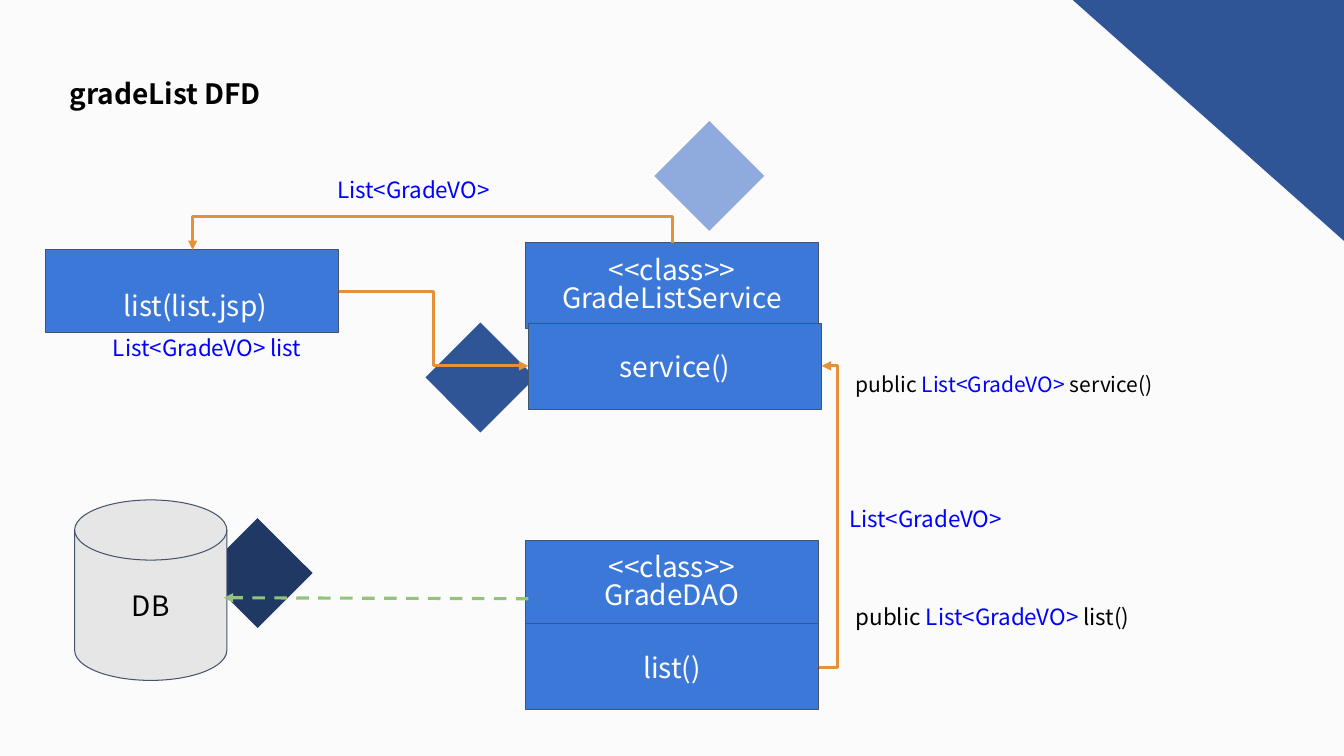
from lxml.etree import SubElement
from pptx import Presentation
from pptx.dml.color import RGBColor
from pptx.enum.dml import MSO_LINE
from pptx.enum.shapes import MSO_CONNECTOR, MSO_SHAPE
from pptx.enum.text import MSO_ANCHOR, PP_ALIGN
from pptx.oxml.ns import qn
from pptx.util import Inches, Pt

RECT, DIAMOND = MSO_SHAPE.RECTANGLE, MSO_SHAPE.DIAMOND
TRIANGLE, DISK = MSO_SHAPE.RIGHT_TRIANGLE, MSO_SHAPE.FLOWCHART_MAGNETIC_DISK
STRAIGHT, ELBOW = MSO_CONNECTOR.STRAIGHT, MSO_CONNECTOR.ELBOW
TOP, MIDDLE, BOTTOM = MSO_ANCHOR.TOP, MSO_ANCHOR.MIDDLE, MSO_ANCHOR.BOTTOM
LEFT, CENTER = PP_ALIGN.LEFT, PP_ALIGN.CENTER
DASH = MSO_LINE.DASH

COLORS = {
    "page": "FBFBFB", "navy": "203864", "blue": "2F5597", "pale": "8FAADC",
    "box": "3C78D8", "edge": "44546A", "disk": "E7E6E6", "flow": "E69138",
    "query": "93C47D", "type": "0000FF", "black": "000000", "white": "FFFFFF",
}
BOX_W, BOX_H = 2.91, 0.85
CLASS_X = 5.21
TYPE = "List<GradeVO>"


def rgb(name):
    """Return the named palette colour."""
    return RGBColor.from_string(COLORS[name])


class Deck:
    """Holds the style and the current slide."""

    font = "Noto Sans CJK KR"
    spacing = 0.83

    def __init__(self, prs):
        """Add a blank slide with the page colour."""
        self.s = prs.slides.add_slide(prs.slide_layouts[6])
        fill = self.s.background.fill
        fill.solid()
        fill.fore_color.rgb = rgb("page")

    def put_text(self, sp, lines, size, anchor=MIDDLE, align=CENTER, bold=False):
        """Fill a shape with lines, each a list of (text, colour) runs."""
        tf = sp.text_frame
        frame = {"word_wrap": True, "vertical_anchor": anchor}
        frame.update({f"margin_{side}": Inches(0.1)
                      for side in ("left", "right", "top", "bottom")})
        for name, value in frame.items():
            setattr(tf, name, value)
        for i, runs in enumerate(lines):
            p = tf.paragraphs[0] if i == 0 else tf.add_paragraph()
            p.alignment = align
            p.line_spacing = self.spacing if anchor == TOP or len(lines) > 1 else 1.0
            for text, color in runs:
                r = p.add_run()
                r.text = text
                for name, value in {"name": self.font, "size": Pt(size), "bold": bold}.items():
                    setattr(r.font, name, value)
                r.font.color.rgb = rgb(color)

    def shape(self, kind, at, fill, edge=None, rotation=0):
        """Draw a filled preset shape."""
        sp = self.s.shapes.add_shape(kind, *map(Inches, at))
        sp.shadow.inherit = False
        sp.rotation = rotation
        sp.fill.solid()
        sp.fill.fore_color.rgb = rgb(fill)
        if edge:
            sp.line.color.rgb = rgb(edge)
            sp.line.width = Pt(0.75)
        else:
            sp.line.fill.background()
        return sp

    def box(self, x, y, *lines, h=BOX_H, anchor=MIDDLE):
        """Draw a blue box with white lines of text."""
        sp = self.shape(RECT, (x, y, BOX_W, h), "box", "edge")
        self.put_text(sp, [[(line, "white")] for line in lines], 20, anchor)

    def label(self, at, runs, size=16, **style):
        """Place one line of free text."""
        sp = self.s.shapes.add_textbox(*map(Inches, at))
        self.put_text(sp, [runs], size, **{"anchor": TOP, **style})

    def arrow(self, kind, start, end, color, dash=None):
        """Draw a connector with an arrowhead at its end."""
        c = self.s.shapes.add_connector(kind, *map(Inches, (*start, *end)))
        c.line.color.rgb = rgb(color)
        c.line.width = Pt(2.25)
        if dash:
            c.line.dash_style = dash
        SubElement(c.get_or_add_ln(), qn("a:tailEnd"), type="triangle")
        SubElement(c._element.spPr, qn("a:effectLst"))
        return c

    def elbow(self, start, end, bend, upright=False):
        """Draw a bent arrow that turns at x = bend, or at y = bend if upright."""
        (x1, y1), (x2, y2) = start, end
        ratio = (bend - y1) / (y2 - y1) if upright else (bend - x1) / (x2 - x1)
        if upright:
            cx, cy = (x1 + x2) / 2, (y1 + y2) / 2
            dx, dy = (y2 - y1) / 2, (x1 - x2) / 2
            start, end = (cx - dx, cy - dy), (cx + dx, cy + dy)
        spPr = self.arrow(ELBOW, start, end, "flow")._element.spPr
        if upright:
            spPr.find(qn("a:xfrm")).set("rot", str(90 * 60000))
        guides = spPr.find(qn("a:prstGeom")).find(qn("a:avLst"))
        SubElement(guides, qn("a:gd"), name="adj1", fmla=f"val {round(ratio * 100000)}")


def signature(method):
    """Return the runs of a public method that gives back the list."""
    return [("public ", "black"), (TYPE, "type"), (f" {method}", "black")]


prs = Presentation()
prs.slide_width, prs.slide_height = Inches(13.33), Inches(7.5)
deck = Deck(prs)

for x, y, color in ((4.22, 3.2, "blue"), (2.01, 5.14, "navy"), (6.49, 1.2, "pale")):
    deck.shape(DIAMOND, (x, y, 1.09, 1.09), color)
deck.shape(TRIANGLE, (10.64, 0, 2.69, 2.39), "blue", rotation=180)

deck.box(0.45, 2.48, " list(list.jsp)", h=0.82, anchor=BOTTOM)
deck.box(CLASS_X, 2.41, "<<class>>", "GradeListService")
deck.box(5.24, 3.21, "service()")
deck.box(CLASS_X, 5.36, "<<class>>", "GradeDAO")
deck.box(CLASS_X, 6.19, "list()")

deck.elbow((6.67, 2.41), (1.91, 2.48), 2.15, upright=True)
deck.elbow((3.36, 2.89), (5.24, 3.63), 4.3)
deck.elbow((8.12, 6.62), (8.15, 3.63), 8.31)

deck.label((0.96, 3.26, 2.19, 0.46), [(f"{TYPE} list", "type")])
for x, y in ((3.15, 1.69), (8.23, 4.96)):
    deck.label((x, y, 1.9, 0.46), [(TYPE, "type")])
deck.label((8.39, 5.93, 4.8, 0.47), signature("list()"), align=LEFT)
deck.label((8.39, 3.63, 4.8, 0.45), signature("service()"), 15, align=LEFT)

db = deck.shape(DISK, (0.74, 4.96, 1.51, 1.79), "disk", "edge")
deck.put_text(db, [[("DB", "black")]], 20)
deck.arrow(STRAIGHT, (5.24, 5.94), (2.22, 5.93), "query", DASH)
deck.label((0.59, 0.71, 3.69, 0.43), [("gradeList DFD", "black")], 20,
           anchor=MIDDLE, align=LEFT, bold=True)

prs.save("out.pptx")
